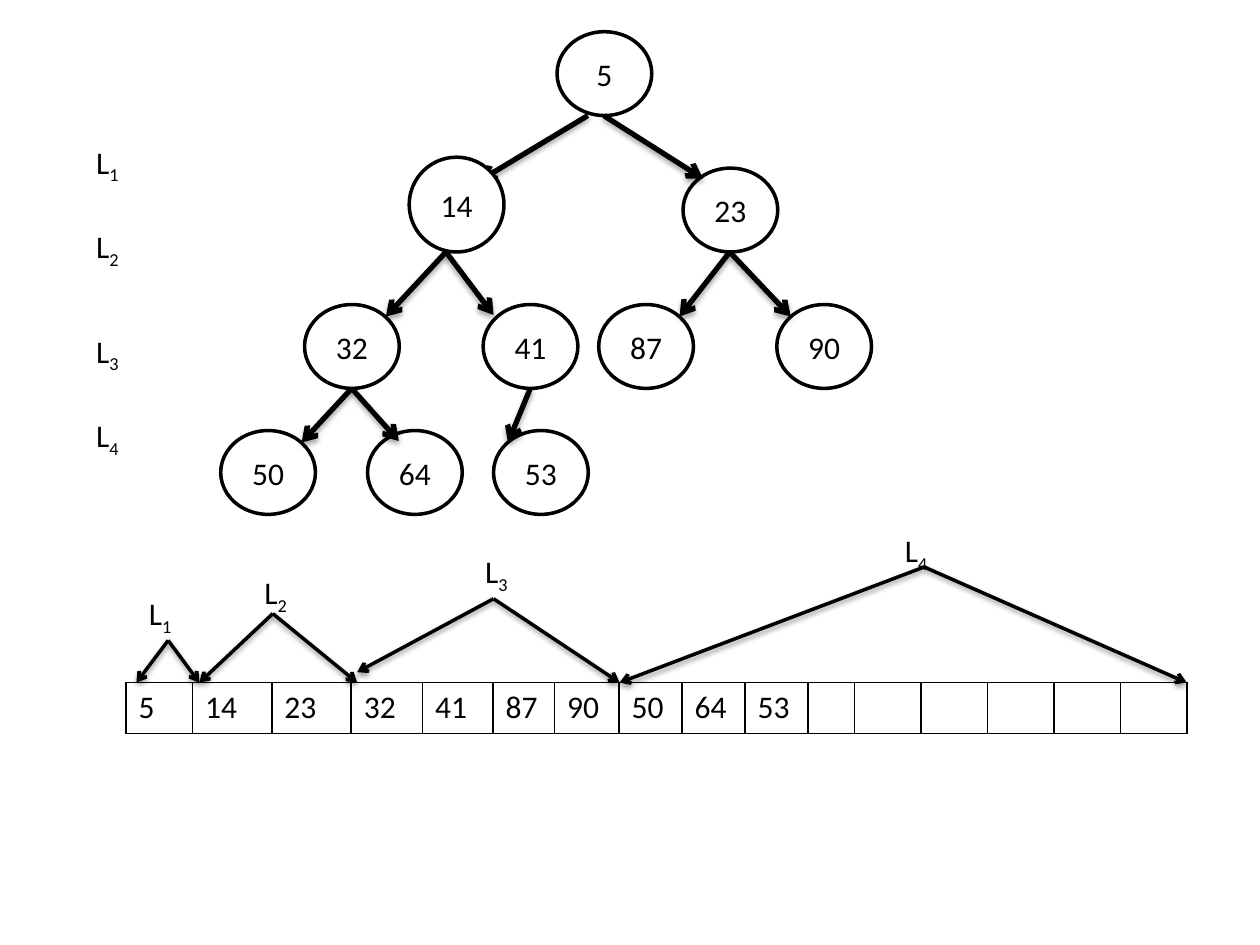
from lxml import etree
from pptx import Presentation
from pptx.dml.color import RGBColor
from pptx.enum.shapes import MSO_CONNECTOR, MSO_SHAPE
from pptx.enum.text import MSO_ANCHOR, MSO_AUTO_SIZE, PP_ALIGN
from pptx.oxml import parse_xml
from pptx.oxml.ns import nsdecls, qn
from pptx.util import Cm, Pt

FONT, SIZE = "Calibri", 18
BLACK, WHITE = "000000", "FFFFFF"

# All lengths are in centimetres.
NODE_W, NODE_H, ROOT_CHILD_H = 1.91, 1.69, 1.91
NODES = [  # text, left, top, height
    ("5", 11.23, 0.64, NODE_H),
    ("23", 13.77, 3.39, NODE_H),
    ("32", 6.14, 6.14, NODE_H),
    ("41", 9.74, 6.14, NODE_H),
    ("87", 12.07, 6.14, NODE_H),
    ("90", 15.66, 6.14, NODE_H),
    ("50", 4.45, 8.68, NODE_H),
    ("64", 7.41, 8.68, NODE_H),
    ("53", 9.95, 8.68, NODE_H),
    ("14", 8.25, 3.17, ROOT_CHILD_H),
]
EDGES = [  # start, end
    ((11.85, 2.33), (9.67, 3.64)),
    ((12.17, 2.33), (14.17, 3.6)),
    ((8.99, 5.08), (7.78, 6.38)),
    ((8.99, 5.08), (9.95, 6.35)),
    ((14.71, 5.08), (13.7, 6.38)),
    ((14.71, 5.08), (15.94, 6.38)),
    ((7.09, 7.83), (6.08, 8.92)),
    ((7.09, 7.83), (8.04, 8.89)),
    ((10.69, 7.83), (10.24, 8.92)),
]
ARRAY_LEFT, ARRAY_TOP, ARRAY_H = 2.54, 13.76, 1.03
ARRAY = [
    ("5", 1.34), ("14", 1.6), ("23", 1.6), ("32", 1.44), ("41", 1.42),
    ("87", 1.24), ("90", 1.3), ("50", 1.27), ("64", 1.27), ("53", 1.27),
    ("", 0.94), ("", 1.34), ("", 1.34), ("", 1.34), ("", 1.34), ("", 1.34),
]
SPANS = [  # apex, left end, right end
    ((3.39, 12.91), (2.75, 13.76), (4.02, 13.76)),
    ((5.5, 12.37), (4.02, 13.76), (7.2, 13.76)),
    ((9.95, 12.07), (7.2, 13.55), (12.49, 13.76)),
    ((18.63, 11.43), (12.49, 13.76), (23.92, 13.76)),
]
LEVEL_LABELS = [  # level, left, top, width
    (1, 1.69, 2.75, 1.48), (2, 1.69, 4.45, 1.69),
    (3, 1.69, 6.56, 2.33), (4, 1.69, 8.26, 2.12),
    (1, 2.75, 11.85, 2.75), (2, 5.08, 11.43, 3.39),
    (3, 9.53, 11.01, 1.48), (4, 17.99, 10.58, 2.54),
]


def color(hex_text):
    """Turn a hex string into a colour."""
    return RGBColor.from_string(hex_text)


def add_run(paragraph, text):
    """Add text in the slide's font and return the run."""
    run = paragraph.add_run()
    run.text = text
    run.font.name, run.font.size = FONT, Pt(SIZE)
    run.font.color.rgb = color(BLACK)
    return run


def add_node(slide, text, left, top, height):
    """Draw one tree node."""
    node = slide.shapes.add_shape(
        MSO_SHAPE.OVAL, Cm(left), Cm(top), Cm(NODE_W), Cm(height))
    node.shadow.inherit = False
    node.fill.solid()
    node.fill.fore_color.rgb = color(WHITE)
    node.line.color.rgb = color(BLACK)
    node.line.width = Pt(2)
    node.text_frame.vertical_anchor = MSO_ANCHOR.MIDDLE
    paragraph = node.text_frame.paragraphs[0]
    paragraph.alignment = PP_ALIGN.CENTER
    add_run(paragraph, text)


def add_arrow(slide, start, end, width, shadow_alpha, shadow_distance):
    """Draw an arrow with a soft shadow below it."""
    arrow = slide.shapes.add_connector(
        MSO_CONNECTOR.STRAIGHT, *[Cm(v) for v in start + end])
    arrow.line.color.rgb = color(BLACK)
    arrow.line.width = Pt(width)
    etree.SubElement(arrow.line._get_or_add_ln(), qn("a:tailEnd"), type="arrow")
    arrow._element.spPr.append(parse_xml(
        f'<a:effectLst {nsdecls("a")}><a:outerShdw blurRad="{Pt(3.1)}" '
        f'dist="{Pt(shadow_distance)}" dir="5400000" rotWithShape="0">'
        f'<a:srgbClr val="{BLACK}"><a:alpha val="{shadow_alpha * 1000}"/>'
        '</a:srgbClr></a:outerShdw></a:effectLst>'))


def add_label(slide, level, left, top, width):
    """Write a level name with its number as a subscript."""
    box = slide.shapes.add_textbox(Cm(left), Cm(top), Cm(width), Cm(1.03))
    box.text_frame.word_wrap = True
    box.text_frame.auto_size = MSO_AUTO_SIZE.SHAPE_TO_FIT_TEXT
    paragraph = box.text_frame.paragraphs[0]
    add_run(paragraph, "L")
    number = add_run(paragraph, str(level))
    number.font._element.set("baseline", "-25000")


def add_borders(cell):
    """Give a cell thin black borders on all sides."""
    properties = cell._tc.get_or_add_tcPr()
    for index, side in enumerate(("lnL", "lnR", "lnT", "lnB")):
        properties.insert(index, parse_xml(
            f'<a:{side} {nsdecls("a")} w="{Pt(1)}"><a:solidFill>'
            f'<a:srgbClr val="{BLACK}"/></a:solidFill></a:{side}>'))


def add_array(slide):
    """Draw the array as a table with one row."""
    total = sum(width for _, width in ARRAY)
    table = slide.shapes.add_table(
        1, len(ARRAY), Cm(ARRAY_LEFT), Cm(ARRAY_TOP), Cm(total), Cm(ARRAY_H)).table
    table.first_row = table.horz_banding = False
    for index, (text, width) in enumerate(ARRAY):
        table.columns[index].width = Cm(width)
        cell = table.cell(0, index)
        cell.fill.background()
        add_borders(cell)
        if text:
            add_run(cell.text_frame.paragraphs[0], text)


def main():
    """Build the heap slide."""
    deck = Presentation()
    deck.slide_width, deck.slide_height = Cm(25.4), Cm(19.05)
    slide = deck.slides.add_slide(deck.slide_layouts[6])
    for node in NODES[:-1]:
        add_node(slide, *node)
    for start, end in EDGES:
        add_arrow(slide, start, end, 3, 35, 1.8)
    add_node(slide, *NODES[-1])  # covers the arrowhead that points to it
    add_array(slide)
    for apex, *ends in SPANS:
        for end in ends:
            add_arrow(slide, apex, end, 2, 38, 1.6)
    for label in LEVEL_LABELS:
        add_label(slide, *label)
    deck.save("out.pptx")


main()
